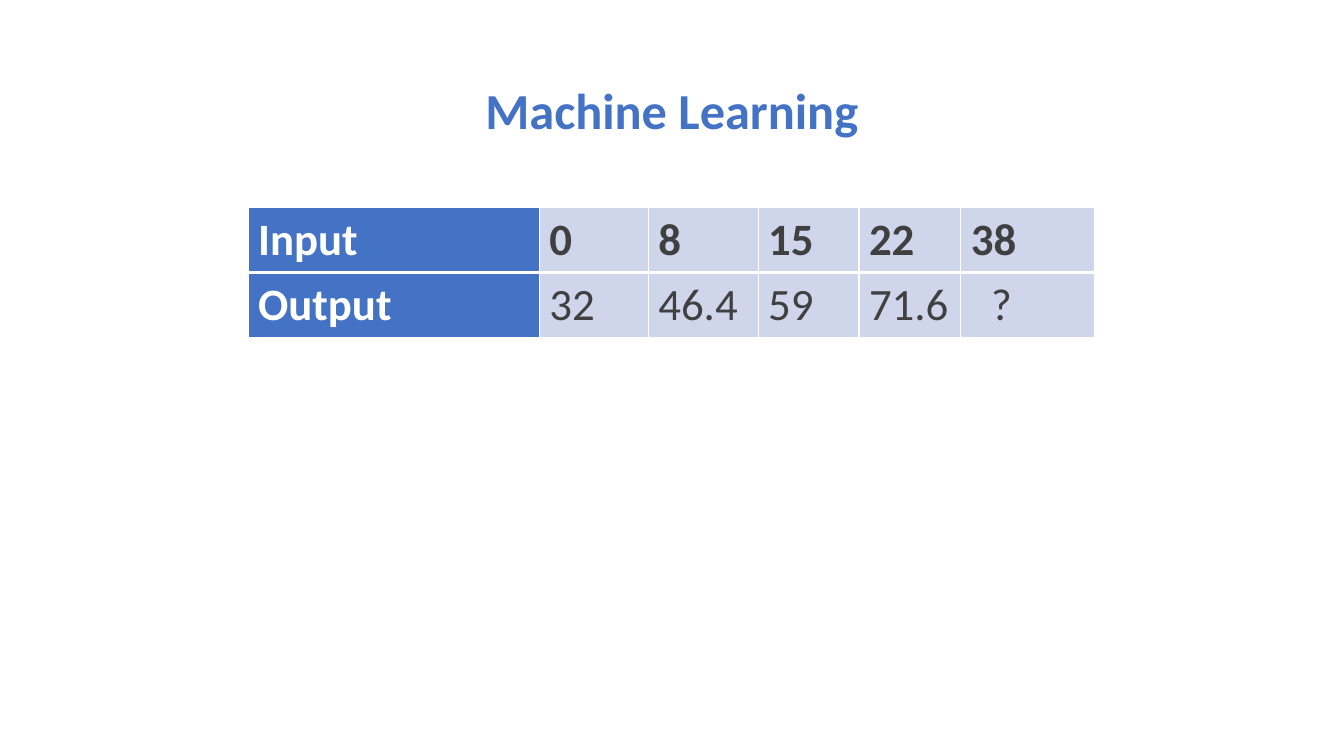
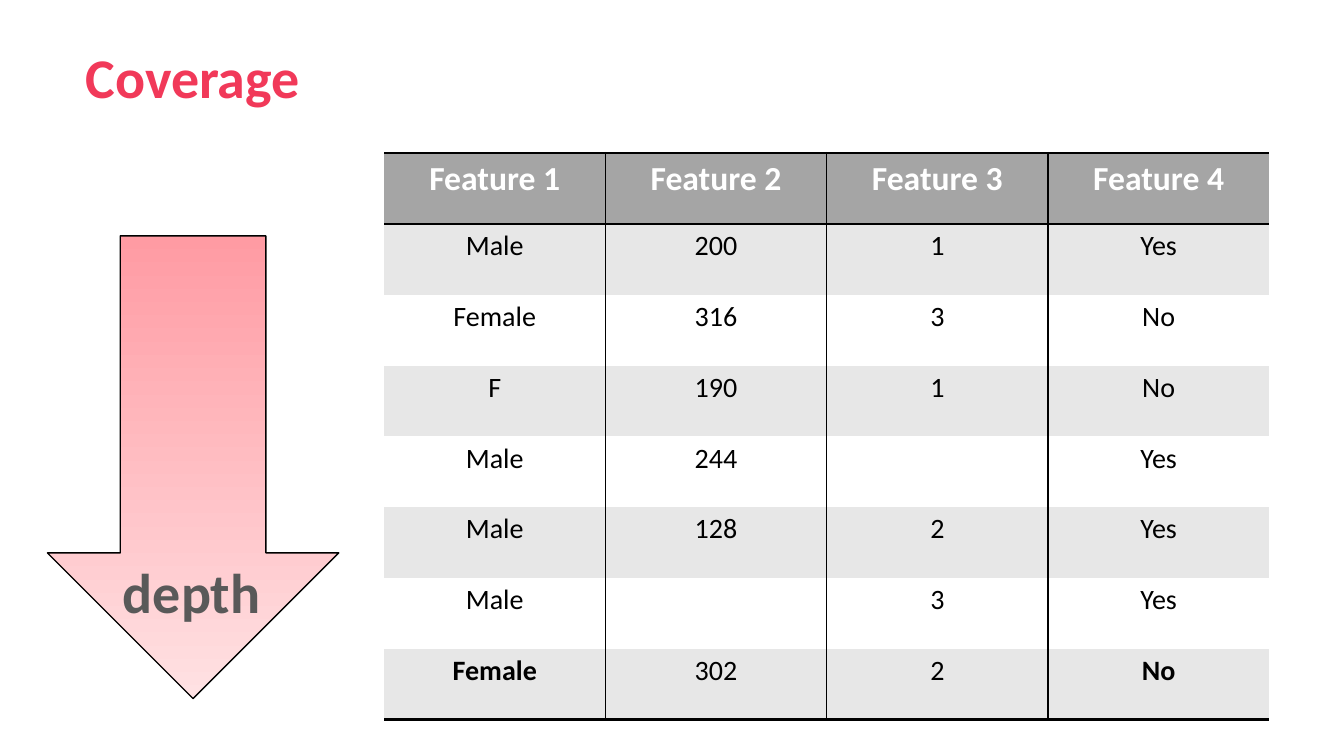
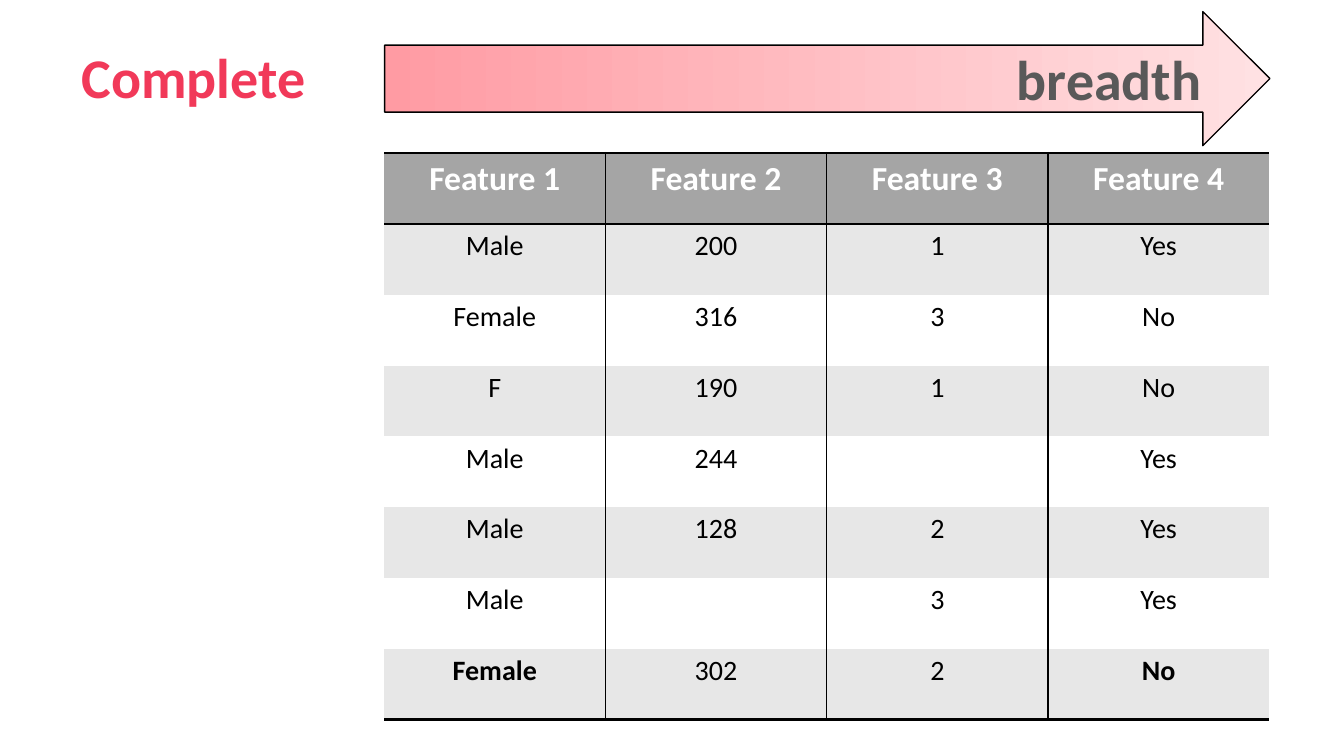
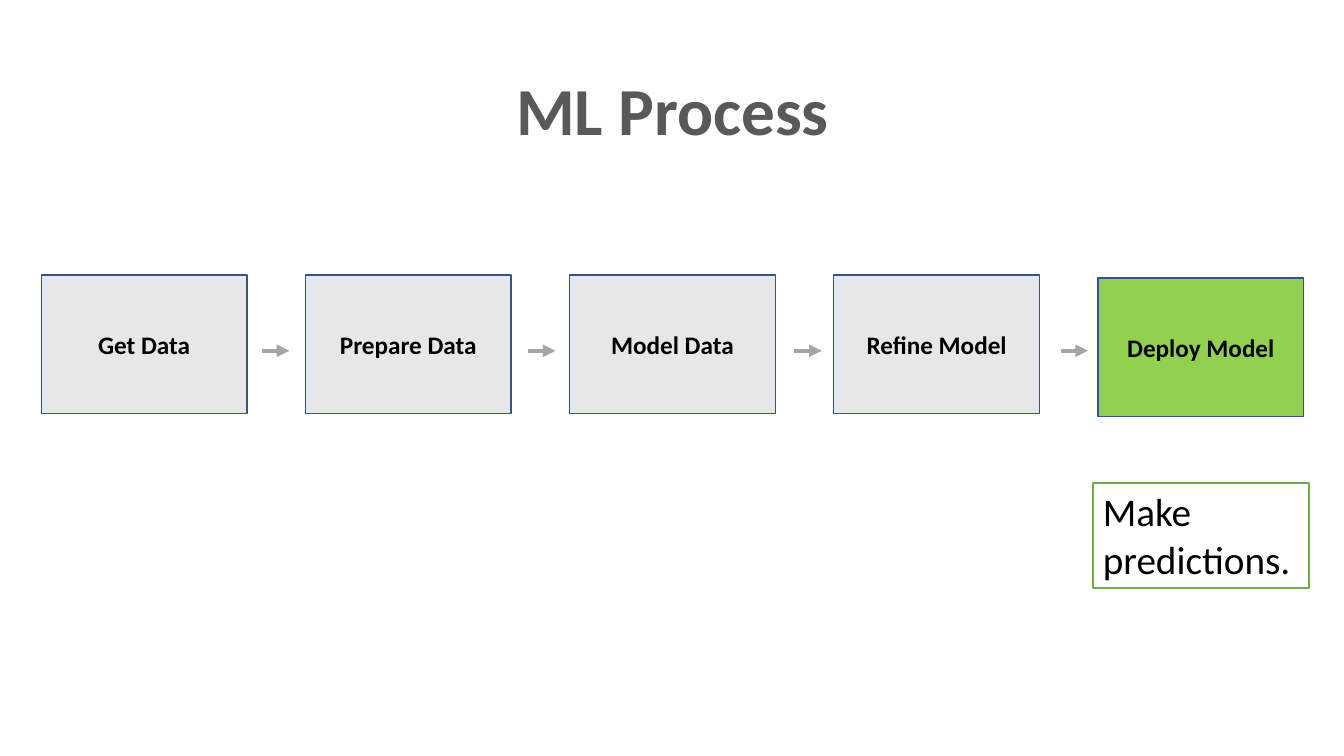
import pptx
import pptx.dml.color
import pptx.enum.shapes
import pptx.enum.text
import pptx.oxml
import pptx.oxml.ns
import pptx.util

Inches = pptx.util.Inches
Pt = pptx.util.Pt
RGB = pptx.dml.color.RGBColor
Shape = pptx.enum.shapes.MSO_SHAPE
Align = pptx.enum.text.PP_ALIGN
Anchor = pptx.enum.text.MSO_ANCHOR

FONT = "Calibri"
BLACK = RGB(0x00, 0x00, 0x00)
WHITE = RGB(0xFF, 0xFF, 0xFF)
BLUE = RGB(0x44, 0x72, 0xC4)
PALE = RGB(0xCF, 0xD5, 0xEA)
NAVY = RGB(0x32, 0x54, 0x91)
DARK = RGB(0x40, 0x40, 0x40)
SLATE = RGB(0x59, 0x59, 0x59)
GRAY = RGB(0xA5, 0xA5, 0xA5)
BAND = RGB(0xE7, 0xE7, 0xE7)
RED = RGB(0xF1, 0x39, 0x59)
ROSE = RGB(0xFF, 0x9B, 0xA3)
BLUSH = RGB(0xFF, 0xE1, 0xE3)
LIME = RGB(0x92, 0xD0, 0x50)
GREEN = RGB(0x70, 0xAD, 0x47)

PAIRS = [["Input", "0", "8", "15", "22", "38"],
         ["Output", "32", "46.4", "59", "71.6", "?"]]
DATA = [["Feature 1", "Feature 2", "Feature 3", "Feature 4"],
        ["Male", "200", "1", "Yes"],
        ["Female", "316", "3", "No"],
        ["F", "190", "1", "No"],
        ["Male", "244", "", "Yes"],
        ["Male", "128", "2", "Yes"],
        ["Male", "", "3", "Yes"],
        ["Female", "302", "2", "No"]]
STEPS = ["Get Data", "Prepare Data", "Model Data", "Refine Model",
         "Deploy Model"]


class Deck:
    def __init__(self):
        self.prs = pptx.Presentation()
        self.prs.slide_width = Inches(13.33)
        self.prs.slide_height = Inches(7.5)
        self.slide = None

    def add(self):
        self.slide = self.prs.slides.add_slide(self.prs.slide_layouts[6])

    def label(self, frame, text, size, color, bold=False, align=Align.CENTER):
        frame.text = text
        par = frame.paragraphs[0]
        par.alignment = align
        font = par.font
        font.name, font.size, font.bold = FONT, Pt(size), bold
        font.color.rgb = color

    def text(self, text, box, size, color):
        shape = self.slide.shapes.add_textbox(*map(Inches, box))
        shape.text_frame.word_wrap = True
        self.label(shape.text_frame, text, size, color, True)

    def shape(self, kind, box, line, fill=None, width=1):
        shape = self.slide.shapes.add_shape(kind, *map(Inches, box))
        shape.shadow.inherit = False
        shape.line.color.rgb = line
        shape.line.width = Pt(width)
        if fill:
            shape.fill.solid()
            shape.fill.fore_color.rgb = fill
        else:
            shape.fill.background()
        return shape

    def arrow(self, box, turn=0):
        """Draw a block arrow that fades towards its head."""
        shape = self.shape(Shape.DOWN_ARROW, box, BLACK)
        shape.rotation = turn
        shape.fill.gradient()
        shape.fill.gradient_angle = 270
        for i, (stop, color) in enumerate(
                zip(shape.fill.gradient_stops, (ROSE, BLUSH))):
            stop.color.rgb = color
            stop.position = i

    def link(self, x, y, size):
        """Draw a short level line with an arrowhead."""
        line = self.slide.shapes.add_connector(
            pptx.enum.shapes.MSO_CONNECTOR.STRAIGHT,
            *map(Inches, (x, y, x + size, y)))
        line.line.color.rgb = GRAY
        line.line.width = Pt(3)
        props = line.element.spPr
        head = pptx.oxml.parse_xml(
            f'<a:tailEnd {pptx.oxml.ns.nsdecls("a")} type="triangle"/>')
        props.find(pptx.oxml.ns.qn("a:ln")).append(head)
        props.append(pptx.oxml.parse_xml(
            f'<a:effectLst {pptx.oxml.ns.nsdecls("a")}/>'))

    def table(self, rows, box):
        table = self.slide.shapes.add_table(
            len(rows), len(rows[0]), *map(Inches, box)).table
        table.first_row = table.horz_banding = False
        return table

    def cell(self, cell, text, fill, edges, **style):
        """Fill a cell; edges holds (colour, width) for left, right, top, bottom."""
        cell.fill.solid()
        cell.fill.fore_color.rgb = fill
        self.label(cell.text_frame, text, **style)
        props = cell._tc.get_or_add_tcPr()
        for i, (side, (color, width)) in enumerate(zip("LRTB", edges)):
            paint = (f'<a:solidFill><a:srgbClr val="{color}"/></a:solidFill>'
                     if width else "<a:noFill/>")
            props.insert(i, pptx.oxml.parse_xml(
                f'<a:ln{side} {pptx.oxml.ns.nsdecls("a")} w="{Pt(width)}">'
                f'{paint}</a:ln{side}>'))

    def pairs(self):
        table = self.table(PAIRS, (2.46, 2.06, 8.4, 1.28))
        for col, width in zip(table.columns, (2.89, 1.08, 1.09, 1, 1.01, 1.33)):
            col.width = Inches(width)
        for r, row in enumerate(PAIRS):
            edges = [(WHITE, w) for w in ((1, 1, 1, 3), (1, 1, 3, 1))[r]]
            for c, text in enumerate(row):
                self.cell(table.cell(r, c), text, PALE if c else BLUE, edges,
                          size=32, color=DARK if c else WHITE,
                          bold=r == 0 or c == 0, align=Align.LEFT)
        table.cell(1, 5).margin_left = Inches(0.3)

    def grid(self):
        table = self.table(DATA, (3.81, 1.52, 8.78, 5.62))
        last, end = len(DATA) - 1, len(DATA[0]) - 1
        for r, row in enumerate(DATA):
            head = r == 0
            fill = GRAY if head else BAND if r % 2 else WHITE
            for c, text in enumerate(row):
                widths = (c > 0, c < end, 2 * (r < 2), 2 * (r in (0, last)))
                self.cell(table.cell(r, c), text, fill,
                          [(BLACK, w) for w in widths],
                          size=24 if head else 20,
                          color=WHITE if head else BLACK,
                          bold=head or (r == last and c in (0, end)))


def main():
    deck = Deck()

    deck.add()
    deck.pairs()
    deck.text("Machine Learning", (2.98, 0.74, 7.37, 0.71), 36, BLUE)

    deck.add()
    deck.grid()
    deck.arrow((0.47, 2.34, 2.89, 4.59))
    deck.text("Coverage", (0.74, 0.37, 2.34, 0.77), 40, RED)
    deck.text("depth", (0.73, 5.48, 2.34, 0.77), 40, SLATE)

    deck.add()
    deck.grid()
    deck.arrow((7.54, -3.61, 1.33, 8.78), 270)
    deck.text("Complete", (0.7, 0.37, 2.44, 0.77), 40, RED)
    deck.text("breadth", (9.83, 0.39, 2.34, 0.77), 40, SLATE)

    deck.add()
    for i, step in enumerate(STEPS):
        final = i == len(STEPS) - 1
        box = deck.shape(Shape.RECTANGLE,
                         (0.41 + 2.62 * i, 2.76 if final else 2.73, 2.04, 1.37),
                         NAVY, LIME if final else BAND)
        deck.label(box.text_frame, step, 18, BLACK, True)
        if not final:
            deck.link(2.6 + 2.64 * i, 3.48, 0.27)
    note = deck.shape(Shape.RECTANGLE, (10.84, 4.79, 2.14, 1.04), GREEN,
                      width=1.5)
    note.text_frame.word_wrap = True
    note.text_frame.vertical_anchor = Anchor.TOP
    deck.label(note.text_frame, "Make predictions.", 28, BLACK,
               align=Align.LEFT)
    deck.text("ML Process", (3.23, 0.63, 6.88, 0.91), 48, SLATE)

    deck.prs.save("out.pptx")


if __name__ == "__main__":
    main()
